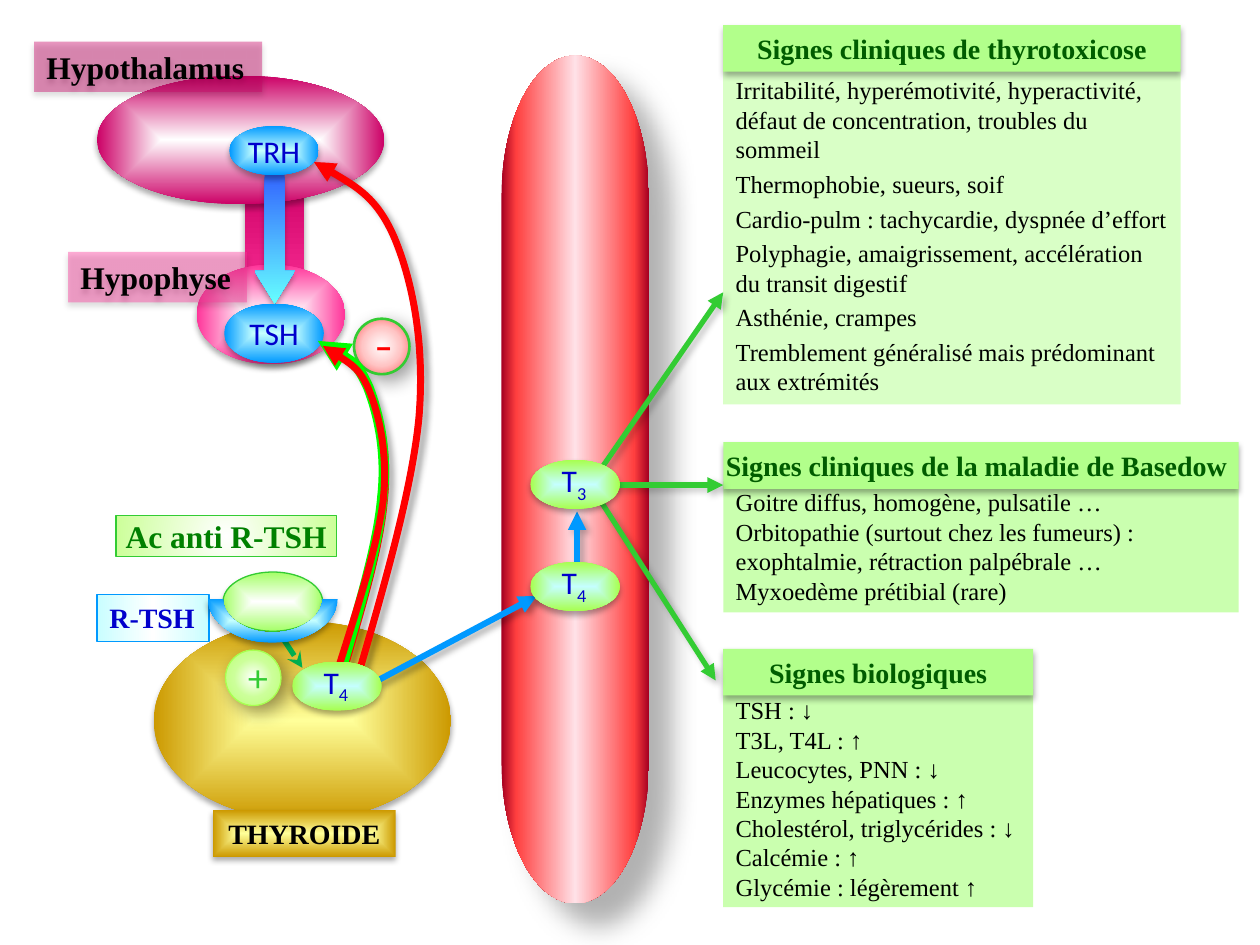
from math import cos, radians, sin

from lxml import etree
from pptx import Presentation
from pptx.dml.color import RGBColor
from pptx.enum.shapes import MSO_CONNECTOR, MSO_SHAPE as SHAPE
from pptx.enum.text import MSO_ANCHOR as ANCHOR, MSO_AUTO_SIZE as FIT, PP_ALIGN as ALIGN
from pptx.oxml import parse_xml
from pptx.oxml.ns import nsdecls, qn
from pptx.util import Inches, Pt

C = {"black": "000000", "white": "FFFFFF", "red": "FF0000", "navy": "0000CC", "blue": "0099FF",
     "green": "33CC33", "lime": "00FF00", "leaf": "00B050", "title": "005C00", "header": "B2FF8B",
     "panel": "CAFFAF", "antibody": "008000", "halo": "A7FF4F", "magenta": "CC0066", "pink": "FF3399",
     "ice": "C5FFFF", "frost": "C9FEFF", "blood": "FF3F3F", "clot": "A50021", "rose": "FFE1E7",
     "pale": "CCFF99", "gold": "CC9900", "cream": "FFFF99", "blush": "FFC5C5", "coral": "FF4F4F",
     "spring": "B8FF71", "grass": "A5FF67", "royal": "3366FF", "aqua": "66FFFF"}
SERIF, SANS, SIGN = "Times New Roman", "Calibri", "Montserrat"
# Shadows: opacity %, blur pt, distance pt, direction
SOFT, BADGE, DEEP = (32, 3.5, 2.2, 90), (38, 11, 5, 45), (30, 15, 18, 45)
LINE_SHADOW, SIGN_SHADOW, CURVE_SHADOW = (31, 4, 3, 45), (23, 4, 3, 45), (40, 4, 3, 45)

def blend(spread, *names):
    """Evenly spaced colours, along an angle or spreading from the centre."""
    return [(100 * i // (len(names) - 1), C[name]) for i, name in enumerate(names)], spread

GOLD, SKY, MINT = (blend("shape", *pair) for pair in (("cream", "gold"), ("ice", "blue"), ("ice", "halo")))
VESSEL = [(0, C["clot"]), (10, C["blood"]), (50, C["rose"]), (90, C["blood"]), (100, C["clot"])], 180

def sub(box, dx, dy, w, h):
    return box[0] + dx, box[1] + dy, w, h

def set_fill(shape, fill, alpha):
    shape.fill.background()
    if isinstance(fill, str):
        shape.fill.solid()
        shape.fill.fore_color.rgb = RGBColor.from_string(fill)
        if alpha < 100:
            color = shape._element.spPr.find(".//" + qn("a:srgbClr"))
            etree.SubElement(color, qn("a:alpha"), val=str(alpha * 1000))
    elif fill:
        stops, spread = fill
        stop_xml = "".join(f'<a:gs pos="{pos * 1000}"><a:srgbClr val="{c}"/></a:gs>' for pos, c in stops)
        half = " ".join(f'{side}="50000"' for side in "ltrb")
        end = (f'<a:path path="{spread}"><a:fillToRect {half}/></a:path>' if isinstance(spread, str)
               else f'<a:lin ang="{spread * 60000}" scaled="0"/>')
        props = shape._element.spPr
        props.replace(props.find(qn("a:noFill")), parse_xml(
            f'<a:gradFill {nsdecls("a")} rotWithShape="1"><a:gsLst>{stop_xml}</a:gsLst>{end}</a:gradFill>'))

def set_line(shape, color, width, head=None, shadow=None):
    if color:
        shape.line.color.rgb = RGBColor.from_string(color)
        shape.line.width = Pt(width)
        if head:
            etree.SubElement(shape.line._get_or_add_ln(), qn("a:tailEnd"), type=head)
    else:
        shape.line.fill.background()
    effects = etree.SubElement(shape._element.spPr, qn("a:effectLst"))
    if shadow:
        alpha, blur, dist, angle = shadow
        outer = etree.SubElement(effects, qn("a:outerShdw"), blurRad=str(Pt(blur)), dist=str(Pt(dist)),
                                 dir=str(angle * 60000), rotWithShape="0")
        tint = etree.SubElement(outer, qn("a:srgbClr"), val=C["black"])
        etree.SubElement(tint, qn("a:alpha"), val=str(alpha * 1000))

def write(shape, paragraphs, size, color, font=SERIF, bold=False, align=ALIGN.LEFT, inset=(0.1, 0.05),
          gap=0, wrap=True, grow=True):
    """Each paragraph is a list of runs; a run that is a number is a subscript."""
    frame = shape.text_frame
    frame.word_wrap, frame.vertical_anchor = wrap, ANCHOR.TOP if grow else ANCHOR.MIDDLE
    frame.margin_left = frame.margin_right = Inches(inset[0])
    frame.margin_top = frame.margin_bottom = Inches(inset[1])
    frame.auto_size = FIT.SHAPE_TO_FIT_TEXT if grow else FIT.NONE
    for i, runs in enumerate(paragraphs):
        paragraph = frame.add_paragraph() if i else frame.paragraphs[0]
        paragraph.alignment = align
        if i and gap:
            paragraph.space_before = Pt(gap)
        for value in runs:
            run = paragraph.add_run()
            run.text = str(value)
            run.font.size, run.font.name, run.font.bold = Pt(size), font, bold
            run.font.color.rgb = RGBColor.from_string(color)
            if isinstance(value, int):
                run.font._element.set("baseline", "-25000")

def add(slide, kind, box, fill, line=None, width=0.75, shadow=SOFT, alpha=100, turn=0):
    shape = slide.shapes.add_shape(kind, *map(Inches, box))
    shape.rotation = turn
    set_fill(shape, fill, alpha)
    set_line(shape, line, width, shadow=shadow)
    return shape

def arrow(slide, box, start, end, color, width, shadow=LINE_SHADOW, head="triangle"):
    ends = [Inches(box[i % 2] + v) for i, v in enumerate(start + end)]
    set_line(slide.shapes.add_connector(MSO_CONNECTOR.STRAIGHT, *ends), color, width, head, shadow)

def curve(slide, box, points, kinds, fill=None, line=None, width=1, shadow=None, frame=None, turn=0):
    """Outline of C (cubic) and L (straight) pieces; Z closes it, a turned frame makes it an arrow."""
    points = [(box[0] + x, box[1] + y) for x, y in points]
    if frame:
        left, top, w, h = frame = sub(box, *frame)
        cx, cy, a = left + w / 2, top + h / 2, radians(turn)
        points = [(cx + (x - cx) * cos(a) + (y - cy) * sin(a),
                   cy - (x - cx) * sin(a) + (y - cy) * cos(a)) for x, y in points]
    spots = [(Inches(x), Inches(y)) for x, y in points]
    builder = slide.shapes.build_freeform(*spots[0])
    builder.add_line_segments(spots[1:], close="Z" in kinds)
    shape = builder.convert_to_shape()
    segments = iter(list(shape._element.iter(qn("a:lnTo"))))
    for kind in kinds.rstrip("Z"):
        first = next(segments)
        if kind == "C":
            first.tag = qn("a:cubicBezTo")
            for other in (next(segments), next(segments)):
                first.append(other[0])
                other.getparent().remove(other)
    if frame:
        shape.left, shape.top, shape.width, shape.height = map(Inches, frame)
        shape.rotation = turn
    set_fill(shape, fill, 100)
    set_line(shape, line, width, "triangle" if frame else None, shadow)

def hormone(slide, box, index):
    add(slide, SHAPE.OVAL, box, MINT)
    label = slide.shapes.add_textbox(*map(Inches, sub(box, 0.15, -0.04, 0.47, 0.4)))
    write(label, [["T", index]], 18, C["navy"], SANS)

def brain(slide, box):
    """Hypothalamus and pituitary with their hormones."""
    add(slide, SHAPE.ROUNDED_RECTANGLE, sub(box, 1.36, 1.37, 1.1, 0.47), blend(0, "magenta", "pink"), turn=90)
    add(slide, SHAPE.OVAL, sub(box, 1.29, 1.77, 1.18, 0.79), blend("shape", "white", "pink"))
    add(slide, SHAPE.OVAL, sub(box, 0.5, 0.27, 2.28, 1.02), blend("shape", "white", "magenta"))
    for name, dx, dy, w, color in (("Hypothalamus", 0, 0, 1.81, "magenta"), ("Hypophyse", 0.27, 1.67, 1.42, "pink")):
        label = add(slide, SHAPE.RECTANGLE, sub(box, dx, dy, w, 0.4), C[color], alpha=40)
        write(label, [[name]], 18, C["black"], bold=True)
    release = add(slide, SHAPE.DOWN_ARROW, sub(box, 1.75, 1.06, 0.32, 1.02), blend(90, "royal", "aqua"))
    release.adjustments[1] = 0.81
    for name, *place in (("TSH", 1.51, 2.08, 0.79, 0.47), ("TRH", 1.55, 0.67, 0.71, 0.39)):
        oval = add(slide, SHAPE.OVAL, sub(box, *place), SKY)
        write(oval, [[name]], 18, C["navy"], SANS, align=ALIGN.CENTER, wrap=False, grow=False)

def feedback(slide, box):
    """Loops from thyroid T4 back to TRH and TSH, with the minus badge."""
    to_trh = [(0.81, 4.2), (1.04, 3.41), (1.27, 2.63), (1.33, 2.03), (1.38, 1.44),
              (1.28, 0.95), (1.14, 0.61), (1, 0.28), (0.75, 0.14), (0.5, 0)]
    to_tsh = [(0.69, 3.99), (0.84, 3.52), (0.99, 3.05), (1.04, 2.69), (1.08, 2.34),
              (1.02, 2.04), (0.94, 1.83), (0.86, 1.63), (0.71, 1.54), (0.56, 1.45)]
    antibody = [(0.72, 3.97), (0.86, 3.49), (1, 3.02), (1.03, 2.66), (1.07, 2.3),
                (1, 2), (0.92, 1.79), (0.83, 1.59), (0.68, 1.5), (0.52, 1.42)]
    shaded = [(x + 0.02, y + 0.02) for x, y in antibody]
    trh_frame = (0.01, 0.1, 1.36, 4.02)
    minus = add(slide, SHAPE.OVAL, sub(box, 0.81, 1.24, 0.44, 0.44), blend("circle", "white", "blush", "coral"),
                C["green"], 1.5, BADGE)
    write(minus, [["-"]], 28, C["red"], SIGN, align=ALIGN.CENTER, inset=(0.1, 0), grow=False)
    minus.text_frame.margin_bottom = Inches(0.05)
    for points, frame, turn, color, width, shadow in (
            (to_trh, trh_frame, 13.4, "red", 3.25, CURVE_SHADOW),
            (shaded, (0.25, 1.51, 0.84, 2.43), 13.4, "red", 3.25, CURVE_SHADOW),
            (antibody, (0.23, 1.48, 0.84, 2.43), 13.4, "lime", 6, None),
            (to_trh, trh_frame, 13.4, "red", 4, None),
            (to_tsh, (0.24, 1.52, 0.82, 2.43), 14.7, "red", 4, None)):
        curve(slide, box, points, "CCC", None, C[color], width, shadow, frame, turn)

def thyroid(slide, box):
    add(slide, SHAPE.OVAL, box, GOLD)
    name = add(slide, SHAPE.RECTANGLE, sub(box, 0.47, 1.5, 1.45, 0.37), GOLD)
    write(name, [["THYROIDE"]], 16, C["black"], bold=True, align=ALIGN.CENTER)

def receptor(slide, box):
    """TSH receptor, its antibody, and the stimulated T4."""
    label = add(slide, SHAPE.RECTANGLE, sub(box, 0, 0.63, 0.89, 0.37), blend(0, "frost", "white", "frost"),
                C["blue"], shadow=None)
    write(label, [["R-TSH"]], 16, C["navy"], bold=True)
    antibody = add(slide, SHAPE.RECTANGLE, sub(box, 0.15, 0, 1.75, 0.33), blend("circle", "white", "pale"),
                   C["green"], shadow=None)
    write(antibody, [["Ac anti R-TSH"]], 18, C["antibody"], bold=True, align=ALIGN.CENTER, inset=(0.02, 0.01))
    arrow(slide, box, (1.47, 0.97), (1.63, 1.21), C["leaf"], 3, None, "stealth")
    plus = add(slide, SHAPE.OVAL, sub(box, 1.02, 1.07, 0.44, 0.44), blend("circle", "white", "pale", "spring"),
               C["halo"], shadow=BADGE)
    write(plus, [["+"]], 24, C["green"], SIGN, align=ALIGN.CENTER, grow=False)
    hormone(slide, sub(box, 1.55, 1.16, 0.71, 0.39), 4)
    add(slide, SHAPE.OVAL, sub(box, 1, 0.45, 0.79, 0.47), blend("shape", "white", "grass"), C["green"])
    cup = [(1.79, 0.66), (1.79, 0.81), (1.61, 0.93), (1.39, 0.93), (1.18, 0.93), (1, 0.81), (1, 0.66),
           (0.88, 0.66), (0.88, 0.85), (1.11, 1.01), (1.39, 1.01), (1.68, 1.01), (1.91, 0.85), (1.91, 0.66)]
    curve(slide, box, cup, "CCLCCZ", SKY, shadow=SOFT)

def circulation(slide, box):
    """T4 and T3 in the blood, and the arrows to the signs."""
    for start, end in (((0.6, 4.21), (0.6, 3.62)), ((-1, 4.97), (0.28, 4.29))):
        arrow(slide, box, start, end, C["blue"], 3.5)
    for start, end in (((0.77, 3.31), (1.76, 1.88)), ((0.82, 3.41), (1.76, 3.41)), ((0.77, 3.51), (1.7, 4.96))):
        arrow(slide, box, start, end, C["green"], 3, SIGN_SHADOW)
    for dy, index in ((4.02, 4), (3.21, 3)):
        hormone(slide, sub(box, 0.23, dy, 0.71, 0.39), index)

def signs(slide, box, title, lines, drop, align=ALIGN.CENTER, side=0.02, gap=0, alpha=100):
    w, h = box[2:]
    body = add(slide, SHAPE.RECTANGLE, sub(box, 0, drop, w, h - drop), C["panel"], shadow=None, alpha=alpha)
    write(body, [[line] for line in lines], 14, C["black"], gap=gap)
    header = add(slide, SHAPE.RECTANGLE, sub(box, 0, 0, w, 0.37), C["header"])
    write(header, [[title]], 16, C["title"], bold=True, align=align, inset=(side, 0.05))

deck = Presentation()
deck.slide_width, deck.slide_height = Inches(10), Inches(7.5)
page = deck.slides.add_slide(deck.slide_layouts[6])
blood = (3.98, 0.44, 1.17, 6.73)
add(page, SHAPE.FLOWCHART_MAGNETIC_DISK, blood, VESSEL, shadow=DEEP, turn=180)
thyroid(page, (1.22, 4.93, 2.36, 1.58))
brain(page, (0.27, 0.33, 2.78, 2.56))
feedback(page, (2, 1.29, 1.38, 4.2))
signs(page, (5.74, 0.2, 3.63, 3.01), "Signes cliniques de thyrotoxicose",
      ["Irritabilité, hyperémotivité, hyperactivité, défaut de concentration, troubles du sommeil",
       "Thermophobie, sueurs, soif", "Cardio-pulm : tachycardie, dyspnée d’effort",
       "Polyphagie, amaigrissement, accélération du transit digestif", "Asthénie, crampes",
       "Tremblement généralisé mais prédominant aux extrémités"], 0.35, side=0.1, gap=3, alpha=70)
signs(page, (5.74, 3.51, 4.09, 1.35), "Signes cliniques de la maladie de Basedow",
      ["Goitre diffus, homogène, pulsatile …", "Orbitopathie (surtout chez les fumeurs) : exophtalmie, "
       "rétraction palpébrale …", "Myxoedème prétibial (rare)"], 0.31, align=ALIGN.LEFT)
signs(page, (5.74, 5.15, 2.46, 2.05), "Signes biologiques",
      ["TSH : ↓", "T3L, T4L : ↑", "Leucocytes, PNN : ↓", "Enzymes hépatiques : ↑",
       "Cholestérol, triglycérides : ↓", "Calcémie : ↑", "Glycémie : légèrement ↑"], 0.32)
circulation(page, blood)
receptor(page, (0.77, 4.09, 2.26, 1.55))
deck.save("out.pptx")
